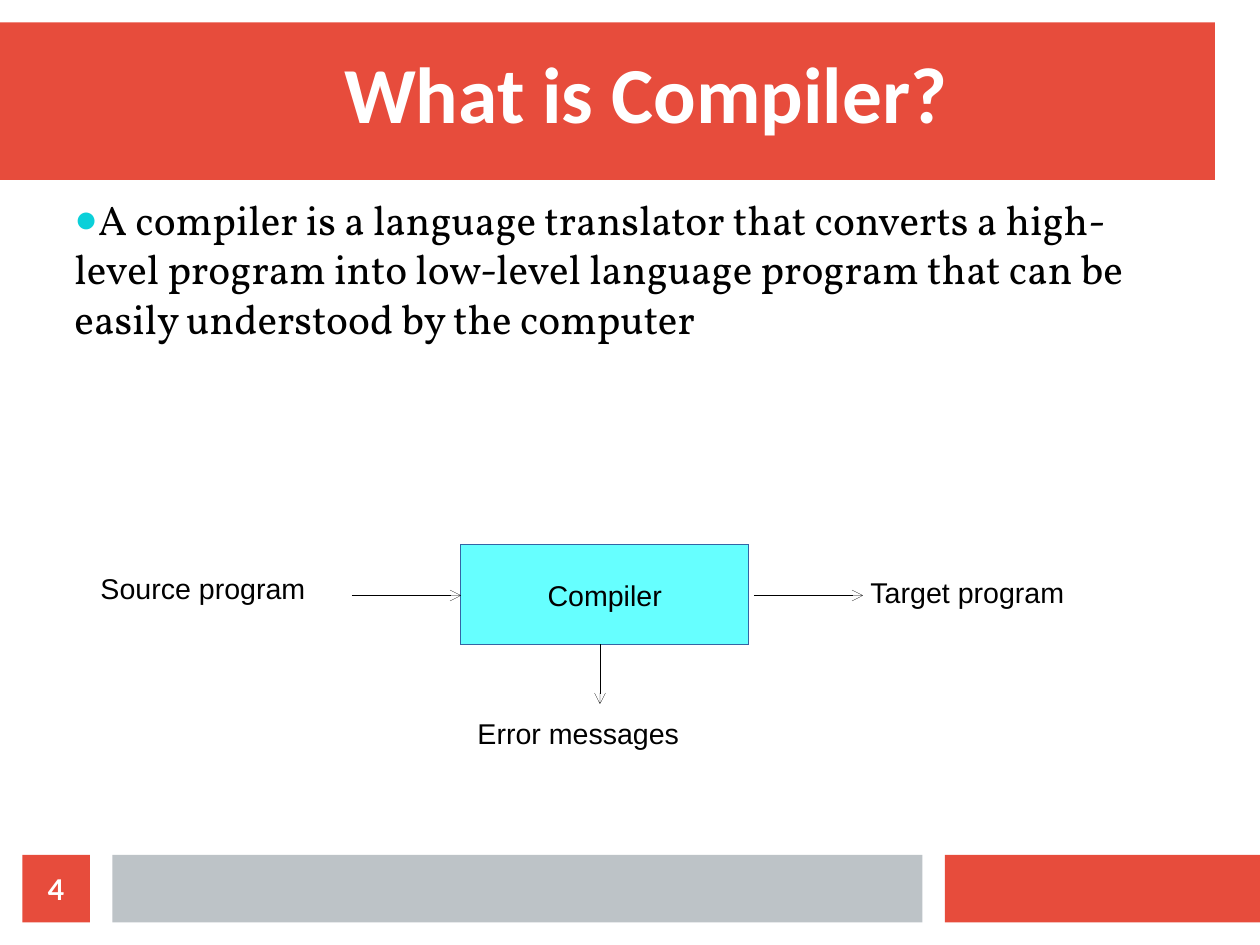
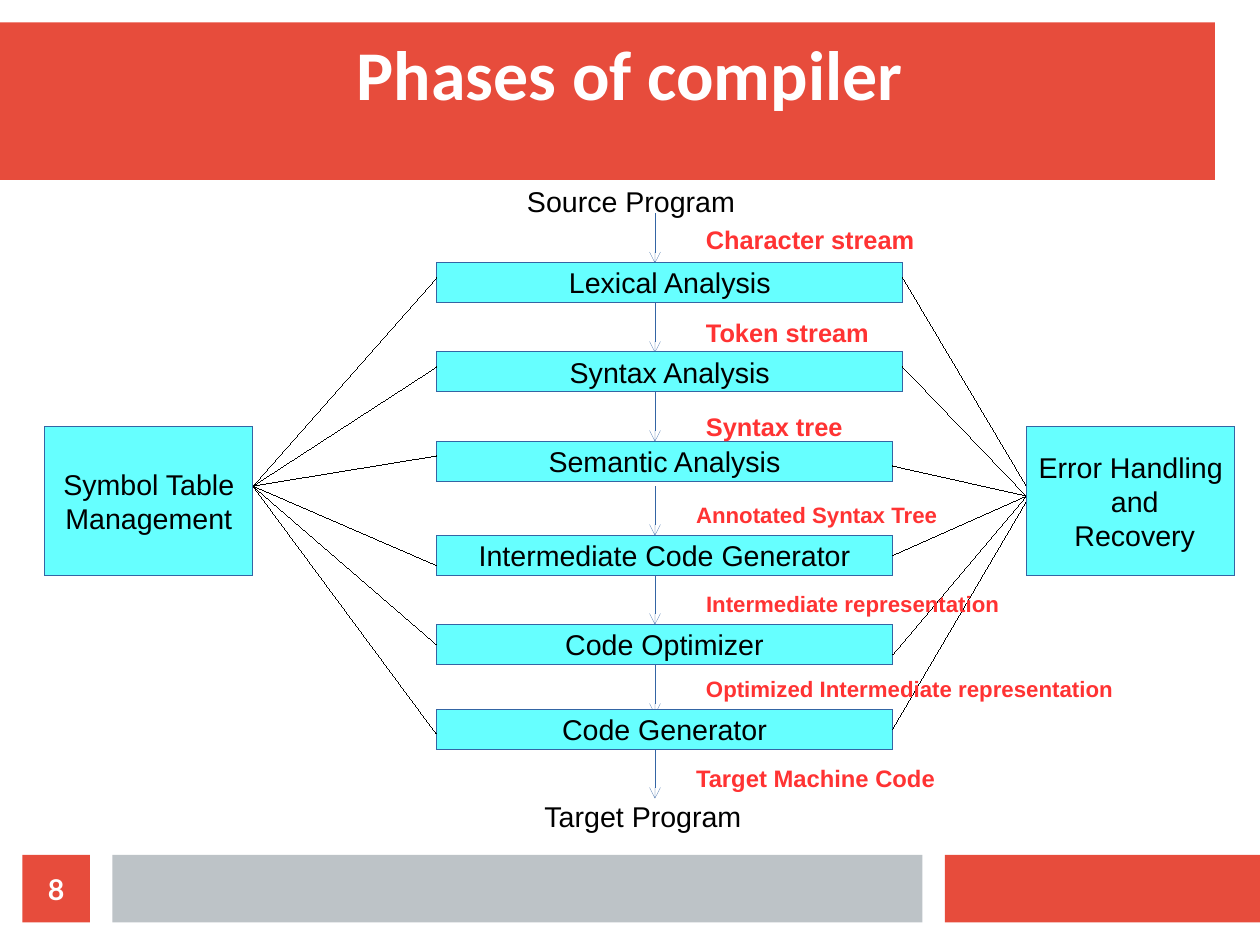
from lxml import etree
from pptx import Presentation
from pptx.dml.color import RGBColor
from pptx.enum.shapes import MSO_CONNECTOR, MSO_SHAPE
from pptx.enum.text import MSO_ANCHOR, PP_ALIGN
from pptx.oxml.ns import qn

RECT, STRAIGHT = MSO_SHAPE.RECTANGLE, MSO_CONNECTOR.STRAIGHT
TOP, MIDDLE, BOTTOM = MSO_ANCHOR.TOP, MSO_ANCHOR.MIDDLE, MSO_ANCHOR.BOTTOM
LEFT, CENTER = PP_ALIGN.LEFT, PP_ALIGN.CENTER

PX = 4000
PT = 12700
HAIRLINE = 1
RED = RGBColor(0xE7, 0x4C, 0x3C)
GREY = RGBColor(0xBD, 0xC3, 0xC7)
CYAN = RGBColor(0x66, 0xFF, 0xFF)
BLUE = RGBColor(0x34, 0x65, 0xA4)
CORAL = RGBColor(0xFF, 0x33, 0x33)
BLACK = RGBColor(0, 0, 0)
WHITE = RGBColor(0xFF, 0xFF, 0xFF)

PLAIN = {"name": "Arial", "size": 18 * PT, "bold": False, "color": BLACK}
NUMBER = {"name": "Lato", "size": 18 * PT, "bold": True, "color": WHITE}
TITLE = {"name": "Calibri", "bold": True, "color": WHITE}
BODY = {"name": "Vollkorn", "size": 26 * PT, "bold": False, "color": BLACK}
STREAM = {"name": "Arial", "bold": True, "color": CORAL}
INSETS = (23, 11, 23, 11)


def add_box(s, at, text="", fmt=PLAIN, fill=None, line=None, align=LEFT,
            anchor=TOP, insets=INSETS, wrap=True):
    x, y, w, h = [v * PX for v in at]
    if fill is None:
        sp = s.shapes.add_textbox(x, y, w, h)
    else:
        sp = s.shapes.add_shape(RECT, x, y, w, h)
        sp.shadow.inherit = False
        sp.fill.solid()
        sp.fill.fore_color.rgb = fill
        if line is None:
            sp.line.fill.background()
        else:
            sp.line.color.rgb = line
            sp.line.width = HAIRLINE
    tf = sp.text_frame
    tf.word_wrap = wrap
    tf.vertical_anchor = anchor
    for side, inset in zip(("left", "top", "right", "bottom"), insets):
        setattr(tf, f"margin_{side}", inset * PX)
    if text:
        tf.text = text
    for p in tf.paragraphs:
        p.alignment = align
        for r in p.runs:
            for key, value in fmt.items():
                if key == "color":
                    r.font.color.rgb = value
                else:
                    setattr(r.font, key, value)
    return sp


def add_line(s, x1, y1, x2, y2, color=BLACK, arrow=False):
    cx = s.shapes.add_connector(STRAIGHT, x1 * PX, y1 * PX, x2 * PX, y2 * PX)
    cx.line.color.rgb = color
    cx.line.width = HAIRLINE
    spPr = cx._element.spPr
    if arrow:
        etree.SubElement(spPr.find(qn("a:ln")), qn("a:tailEnd"), type="arrow")
    etree.SubElement(spPr, qn("a:effectLst"))


prs = Presentation()
prs.slide_width, prs.slide_height = 2520 * PX, 1890 * PX

BANDS = [
    ((0, 45, 2430, 315), RED),
    ((1890, 1710, 630, 135), RED),
    ((225, 1710, 1620, 135), GREY),
]
HEADERS = [
    ("What is Compiler?", 50, (158, 68, 2268, 210), "4"),
    ("Phases of compiler", 44, (126, 75, 2268, 155), "8"),
]
for title, size, at, number in HEADERS:
    s = prs.slides.add_slide(prs.slide_layouts[6])
    for band, color in BANDS:
        add_box(s, band, fill=color)
    add_box(s, (45, 1710, 135, 135), number, NUMBER, fill=RED, align=CENTER,
            anchor=MIDDLE, insets=(0, 0, 0, 0))
    add_box(s, at, title, {**TITLE, "size": size * PT}, align=CENTER,
            anchor=BOTTOM, insets=(0, 11, 0, 0))
definition, phases = prs.slides

sp = add_box(
    definition, (126, 377, 2268, 1303),
    "A compiler is a language translator that converts a high-level program "
    "into low-level language program that can be easily understood by the computer",
    BODY)
pPr = sp.text_frame.paragraphs[0]._p.get_or_add_pPr()
bullet_color = etree.SubElement(pPr, qn("a:buClr"))
etree.SubElement(bullet_color, qn("a:srgbClr"), val="0BD0D9")
etree.SubElement(pPr, qn("a:buSzPct"), val="95000")
etree.SubElement(pPr, qn("a:buFont"), typeface="Arial")
etree.SubElement(pPr, qn("a:buChar"), char="●")

add_box(definition, (922, 1090, 575, 199), "Compiler", fill=CYAN, line=BLUE,
        align=CENTER, anchor=MIDDLE, wrap=False)
for text, *at in [("Source program", 178, 1130, 576, 167),
                  ("Error messages", 932, 1420, 594, 167),
                  ("Target program", 1718, 1138, 475, 96)]:
    add_box(definition, at, text)
for ends in [(704, 1191, 922, 1191), (1508, 1191, 1726, 1191),
             (1200, 1289, 1200, 1408)]:
    add_line(definition, *ends, arrow=True)

for text, *at in [("Source Program", 1031, 357, 535, 98),
                  ("Target Program", 1066, 1586, 535, 167)]:
    add_box(phases, at, text)

for y in (427, 606, 784, 972, 1150, 1330, 1498):
    add_line(phases, 1310, y, 1310, y + 99, BLUE, arrow=True)

PHASES = [
    ("Lexical Analysis", 525, 933, 556, 556, 972),
    ("Syntax Analysis", 704, 933, 734, 734, 992),
    ("Semantic Analysis", 883, 912, 912, 932, 992),
    ("Intermediate Code Generator", 1071, 912, 1131, 1111, 992),
    ("Code Optimizer", 1249, 912, 1289, 1310, 992),
    ("Code Generator", 1419, 912, 1468, 1458, 1002),
]
for name, y, w, left_y, right_y, error_y in PHASES:
    add_box(phases, (873, y, w, 80), name, fill=CYAN, line=BLUE, align=CENTER,
            anchor=MIDDLE, wrap=False)
    add_line(phases, 873, left_y, 506, 972)
    add_line(phases, 873 + w, right_y, 2053, error_y)

for text, x in [("Symbol Table\nManagement", 89),
                ("Error Handling\n and\n Recovery", 2053)]:
    add_box(phases, (x, 853, 417, 298), text, fill=CYAN, line=BLUE,
            align=CENTER, anchor=MIDDLE, wrap=False)

STREAMS = [
    ("Character stream", 16, 1389, 437, 535, 98),
    ("Token stream", 16, 1389, 624, 535, 98),
    ("Syntax tree", 16, 1389, 812, 535, 98),
    ("Annotated Syntax Tree", 14, 1369, 991, 615, 135),
    ("Intermediate representation", 14, 1389, 1170, 793, 149),
    ("Optimized Intermediate representation", 14, 1389, 1339, 972, 149),
    ("Target Machine Code", 15, 1369, 1517, 665, 149),
]
for text, size, *at in STREAMS:
    add_box(phases, at, text, {**STREAM, "size": size * PT})

prs.save("out.pptx")
